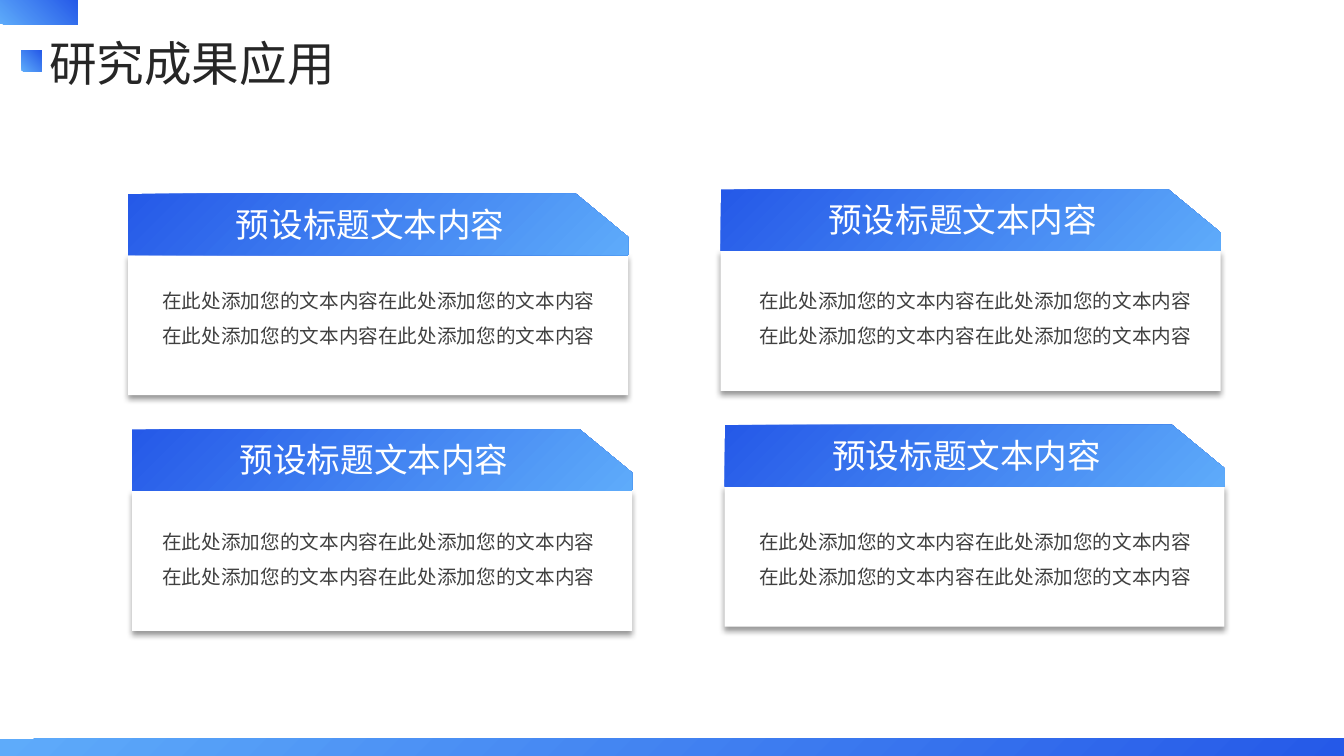
"""Build the slide on applying research results: four titled cards."""
from lxml import etree
from pptx import Presentation
from pptx.dml.color import RGBColor
from pptx.enum.shapes import MSO_SHAPE
from pptx.enum.text import MSO_ANCHOR, MSO_AUTO_SIZE, PP_ALIGN
from pptx.oxml.ns import qn
from pptx.util import Cm, Pt

RECTANGLE = MSO_SHAPE.RECTANGLE
TOP = MSO_ANCHOR.TOP
GROW = MSO_AUTO_SIZE.SHAPE_TO_FIT_TEXT
CENTER, JUSTIFY = PP_ALIGN.CENTER, PP_ALIGN.JUSTIFY

FONT = "Noto Sans CJK SC"
LIGHT_BLUE, DARK_BLUE, WHITE = "5EABFA", "2559E8", "FFFFFF"
TITLE = "研究成果应用"
CARDS = [
    [("预设标题文本内容", "在此处添加您的文本内容" * 4), ("预设标题文本内容", "在此处添加您的文本内容" * 4)],
    [("预设标题文本内容", "在此处添加您的文本内容" * 4), ("预设标题文本内容", "在此处添加您的文本内容" * 4)],
]
DECORATIONS = [
    ((0.66, -0.69, 0.64, 1.96), 270),
    ((0.53, 1.27, 0.53, 0.51), 270),
    ((0, 18.62, 33.87, 0.53), 0),
]
CARD_WIDTH, HEADER_HEIGHT, BODY_HEIGHT = 12.6, 1.55, 3.56
CUT_LEFT, CUT_HEIGHT = 11.28, 1.09


def color(value):
    return RGBColor.from_string(value)


def place(shape, box):
    shape.left, shape.top, shape.width, shape.height = map(Cm, box)


def fill_gradient(shape, start, end):
    shape.shadow.inherit = False
    shape.line.fill.background()
    shape.fill.gradient()
    shape.fill.gradient_angle = 315
    for stop, value in zip(shape.fill.gradient_stops, (start, end)):
        stop.color.rgb = color(value)


def write(shape, text, size, text_color, alignment, spacing=None, inset=None):
    frame = shape.text_frame
    frame.word_wrap = True
    frame.auto_size = GROW
    frame.vertical_anchor = TOP
    if inset is not None:
        frame.margin_left = frame.margin_right = Cm(inset)
        frame.margin_top = frame.margin_bottom = Cm(inset)
    paragraph = frame.paragraphs[0]
    paragraph.text = text
    paragraph.alignment = alignment
    paragraph.line_spacing = spacing
    font = paragraph.font
    font.size, font.name = Pt(size), FONT
    font.color.rgb = color(text_color)
    properties = paragraph._p.pPr.find(qn("a:defRPr"))
    etree.SubElement(properties, qn("a:ea"), typeface=FONT)


def add_shadow(shape):
    shape.shadow.inherit = False
    effects = shape._element.spPr.find(qn("a:effectLst"))
    shadow = etree.SubElement(effects, qn("a:outerShdw"), blurRad=str(Pt(4)),
                              dist=str(Pt(3)), dir="5400000", algn="t", rotWithShape="0")
    black = etree.SubElement(shadow, qn("a:srgbClr"), val="000000")
    etree.SubElement(black, qn("a:alpha"), val="40000")


def add_card(shapes, left, top, heading):
    body = shapes.add_shape(RECTANGLE, Cm(left), Cm(top + 1.52), Cm(CARD_WIDTH), Cm(BODY_HEIGHT))
    body.fill.solid()
    body.fill.fore_color.rgb = color(WHITE)
    body.line.fill.background()
    add_shadow(body)

    right, bottom = left + CARD_WIDTH, top + HEADER_HEIGHT
    corners = [(left + CUT_LEFT, top), (right, top + CUT_HEIGHT), (right, bottom), (left, bottom)]
    builder = shapes.build_freeform(Cm(left), Cm(top))
    builder.add_line_segments([(Cm(x), Cm(y)) for x, y in corners], close=True)
    fill_gradient(builder.convert_to_shape(), DARK_BLUE, LIGHT_BLUE)

    label = shapes.add_textbox(Cm(left + 1.68), Cm(top + 0.25), Cm(8.84), Cm(1.02))
    write(label, heading, 24, WHITE, CENTER, inset=0)


def main():
    presentation = Presentation()
    presentation.slide_width, presentation.slide_height = Cm(33.87), Cm(19.05)
    slide = presentation.slides.add_slide(presentation.slide_layouts[5])
    shapes = slide.shapes

    place(shapes.title, (0.99, 0.74, 7.9, 1.7))
    write(shapes.title, TITLE, 34, "262626", JUSTIFY)
    for box, rotation in DECORATIONS:
        decoration = shapes.add_shape(RECTANGLE, *map(Cm, box))
        decoration.rotation = rotation
        fill_gradient(decoration, LIGHT_BLUE, DARK_BLUE)

    for row, cards in enumerate(CARDS):
        for column, (heading, description) in enumerate(cards):
            left = 3.23 + 14.93 * column + 0.1 * row
            top = 4.88 + 5.94 * row - 0.11 * column
            add_card(shapes, left, top, heading)
            text = shapes.add_textbox(Cm(3.76 + 15.04 * column), Cm(6.86 + 6.07 * row),
                                      Cm(11.56), Cm(2.06))
            write(text, description, 14, "404040", CENTER, spacing=1.5)

    presentation.save("out.pptx")


if __name__ == "__main__":
    main()
